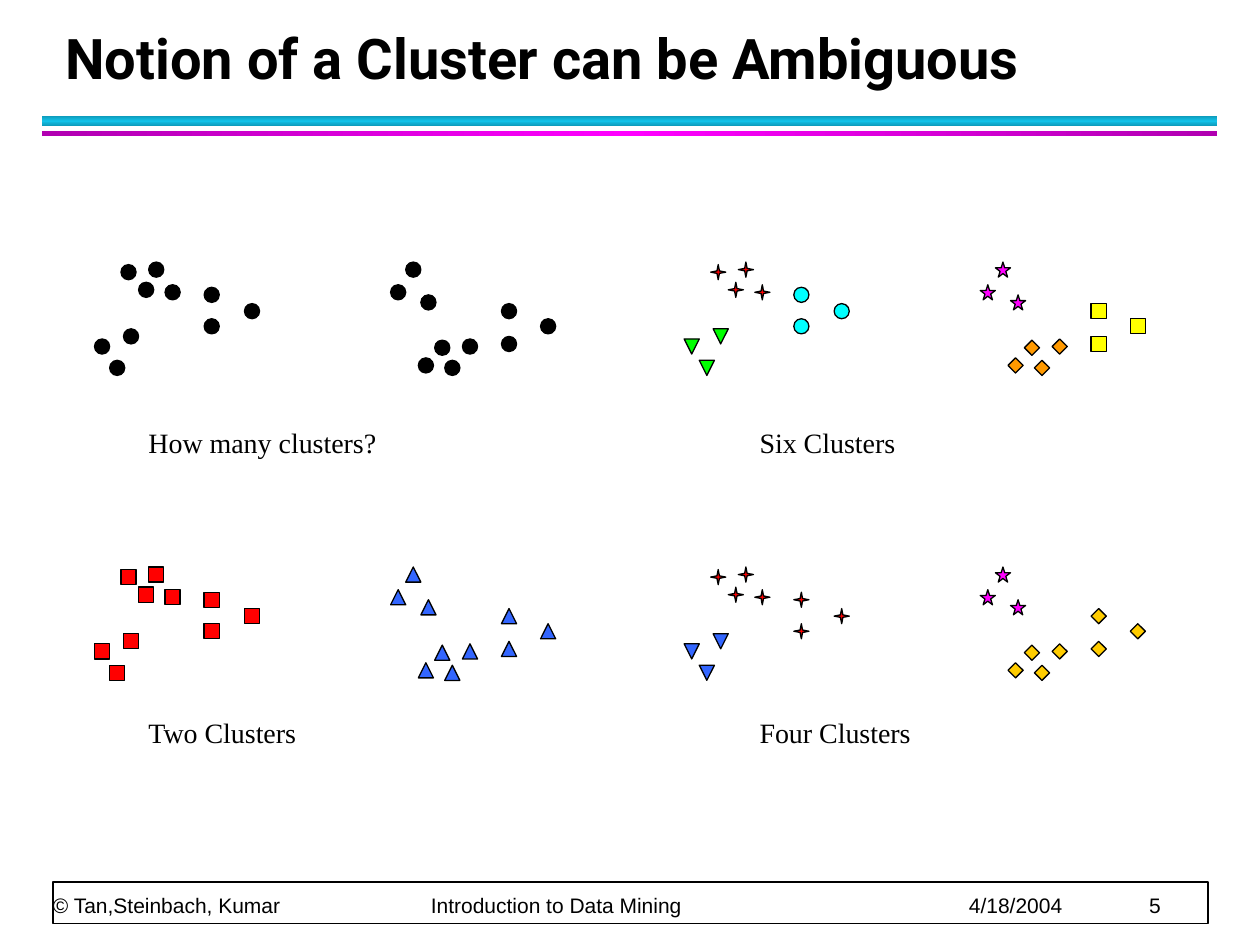
from copy import deepcopy
from dataclasses import dataclass

from lxml import etree
from pptx import Presentation
from pptx.dml.color import RGBColor
from pptx.enum.shapes import MSO_SHAPE
from pptx.enum.text import MSO_ANCHOR
from pptx.oxml.ns import qn
from pptx.util import Inches, Pt

CIRCLE = MSO_SHAPE.OVAL
SQUARE = MSO_SHAPE.RECTANGLE
TRIANGLE = MSO_SHAPE.ISOSCELES_TRIANGLE
EXTRACT = MSO_SHAPE.FLOWCHART_EXTRACT
DIAMOND = MSO_SHAPE.DIAMOND
STAR = MSO_SHAPE.STAR_5_POINT
BOTTOM = MSO_ANCHOR.BOTTOM
TOP = MSO_ANCHOR.TOP
SPARK = None  # four-pointed star, drawn as a freeform

BLACK = "000000"
MARKER_SIZE = 0.12
PANEL_LEFT = (0, 4.68)
CAPTION_LEFT = (1.08, 5.93)
PANEL_TOP = (0, 2.42)
CAPTION_TOP = (3.33, 5.63)


@dataclass(frozen=True)
class Marker:
    kind: MSO_SHAPE | None
    colour: str
    flipped: bool = False


@dataclass(frozen=True)
class Panel:
    caption: str
    column: int
    row: int
    markers: tuple[Marker, ...]  # one for each group of points


POINT_GROUPS = (
    ((1.31, 2.26), (0.96, 2.1), (1.18, 2.08), (1.1, 2.24)),
    ((0.98, 2.61), (0.75, 2.69), (0.87, 2.86)),
    ((1.62, 2.28), (1.94, 2.41), (1.62, 2.53)),
    ((3.34, 2.34), (3.1, 2.26), (3.22, 2.08)),
    ((3.67, 2.69), (3.32, 2.84), (3.53, 2.86), (3.45, 2.7)),
    ((3.98, 2.67), (4.29, 2.53), (3.98, 2.41)),
)

DOT = Marker(CIRCLE, BLACK)
RED_SQUARE = Marker(SQUARE, "FF0000")
BLUE_TRIANGLE = Marker(TRIANGLE, "3366FF")
RED_SPARK = Marker(SPARK, "FF0000")
PINK_STAR = Marker(STAR, "FF00FF")
GOLD_DIAMOND = Marker(DIAMOND, "FFCC00")

PANELS = (
    Panel("How many clusters?", 0, 0, (DOT,) * 6),
    Panel("Four Clusters", 1, 1, (
        RED_SPARK, Marker(EXTRACT, "3366FF", True), RED_SPARK,
        PINK_STAR, GOLD_DIAMOND, GOLD_DIAMOND)),
    Panel("Two Clusters", 0, 1, (RED_SQUARE,) * 3 + (BLUE_TRIANGLE,) * 3),
    Panel("Six Clusters", 1, 0, (
        RED_SPARK, Marker(TRIANGLE, "00FF00", True), Marker(CIRCLE, "00FFFF"),
        PINK_STAR, Marker(DIAMOND, "FF9900"), Marker(SQUARE, "FFFF00"))),
)


def rgb(colour: str) -> RGBColor:
    return RGBColor.from_string(colour)


def paint(shape, fill: str, line_width: float = 0.75) -> None:
    shape.shadow.inherit = False
    shape.fill.solid()
    shape.fill.fore_color.rgb = rgb(fill)
    shape.line.color.rgb = rgb(BLACK)
    shape.line.width = Pt(line_width)


def add_box(shapes, kind, left: float, top: float, width: float, height: float):
    return shapes.add_shape(kind, Inches(left), Inches(top), Inches(width), Inches(height))


def add_bar(shapes, top: float, height: float, edge: str, middle: str, angle: int) -> None:
    """Draw a rule whose colour runs from edge to middle and back."""
    bar = add_box(shapes, SQUARE, 0.33, top, 9.33, height)
    bar.shadow.inherit = False
    bar.line.fill.background()
    bar.fill.gradient()
    bar.fill.gradient_angle = angle
    first, second = bar.fill.gradient_stops
    first.color.rgb, first.position = rgb(edge), 0
    second.color.rgb, second.position = rgb(middle), 0.5
    stops = bar._element.spPr.find(".//" + qn("a:gsLst"))
    last = deepcopy(stops[0])
    last.set("pos", "100000")
    stops.append(last)


def add_text(shapes, text: str, left: float, top: float, width: float, height: float, *,
             size: float, font: str, bold: bool = False, anchor=TOP,
             margins: tuple[float, float] = (0.1, 0.05),
             spacing: float | None = None, tabs: tuple[float, ...] = ()) -> None:
    box = shapes.add_textbox(Inches(left), Inches(top), Inches(width), Inches(height))
    frame = box.text_frame
    frame.word_wrap = True
    frame.vertical_anchor = anchor
    frame.margin_left = frame.margin_right = Inches(margins[0])
    frame.margin_top = frame.margin_bottom = Inches(margins[1])
    para = frame.paragraphs[0]
    if spacing:
        para.line_spacing = Pt(spacing)
    if tabs:
        tab_list = etree.SubElement(para._p.get_or_add_pPr(), qn("a:tabLst"))
        for tab in tabs:
            etree.SubElement(tab_list, qn("a:tab"), pos=str(Inches(tab)), algn="l")
    span = para.add_run()
    span.text = text
    span.font.size = Pt(size)
    span.font.name = font
    span.font.bold = bold
    span.font.color.rgb = rgb(BLACK)


def add_spark(shapes, left: float, top: float):
    half, notch = MARKER_SIZE / 2, 0.01
    x, y = left + half, top + half
    outline = [(x - half, y), (x - notch, y + notch), (x, y + half), (x + notch, y + notch),
               (x + half, y), (x + notch, y - notch), (x, y - half), (x - notch, y - notch)]
    points = [(Inches(across), Inches(down)) for across, down in outline]
    builder = shapes.build_freeform(*points[0], scale=1.0)
    builder.add_line_segments(points[1:], close=True)
    return builder.convert_to_shape()


def add_marker(shapes, marker: Marker, left: float, top: float) -> None:
    if marker.kind is SPARK:
        shape = add_spark(shapes, left, top)
    else:
        shape = add_box(shapes, marker.kind, left, top, MARKER_SIZE, MARKER_SIZE)
    if marker.flipped:
        shape._element.spPr.find(qn("a:xfrm")).set("flipV", "1")
    paint(shape, marker.colour)


def add_panel(page, panel: Panel) -> None:
    shapes = page.shapes.add_group_shape().shapes
    for marker, points in zip(panel.markers, POINT_GROUPS):
        for left, top in points:
            add_marker(shapes, marker, left + PANEL_LEFT[panel.column],
                       top + PANEL_TOP[panel.row])
    add_text(shapes, panel.caption, CAPTION_LEFT[panel.column], CAPTION_TOP[panel.row],
             2.5, 0.37, size=16, font="Times New Roman")


def main() -> None:
    deck = Presentation()
    deck.slide_width, deck.slide_height = Inches(10), Inches(7.5)
    page = deck.slides.add_slide(deck.slide_layouts[6])

    add_bar(page.shapes, 0.92, 0.08, "0E9AB9", "12C2E9", 90)
    add_bar(page.shapes, 1.04, 0.04, "B100B1", "FF00FF", 0)
    paint(add_box(page.shapes, SQUARE, 0.42, 7, 9.17, 0.33), "FFFFFF", 1)
    add_text(page.shapes,
             "© Tan,Steinbach, Kumar\tIntroduction to Data Mining\t4/18/2004\t5",
             0.42, 6.72, 9.15, 0.56, size=12, font="Arial", anchor=BOTTOM,
             margins=(0, 0), spacing=20, tabs=(3, 7.27, 8.7))
    add_text(page.shapes, "Notion of a Cluster can be Ambiguous", 0.42, 0.17, 9.06, 0.6,
             size=32, font="Roboto", bold=True, anchor=BOTTOM, spacing=36)
    for panel in PANELS:
        add_panel(page, panel)

    deck.save("out.pptx")


if __name__ == "__main__":
    main()
